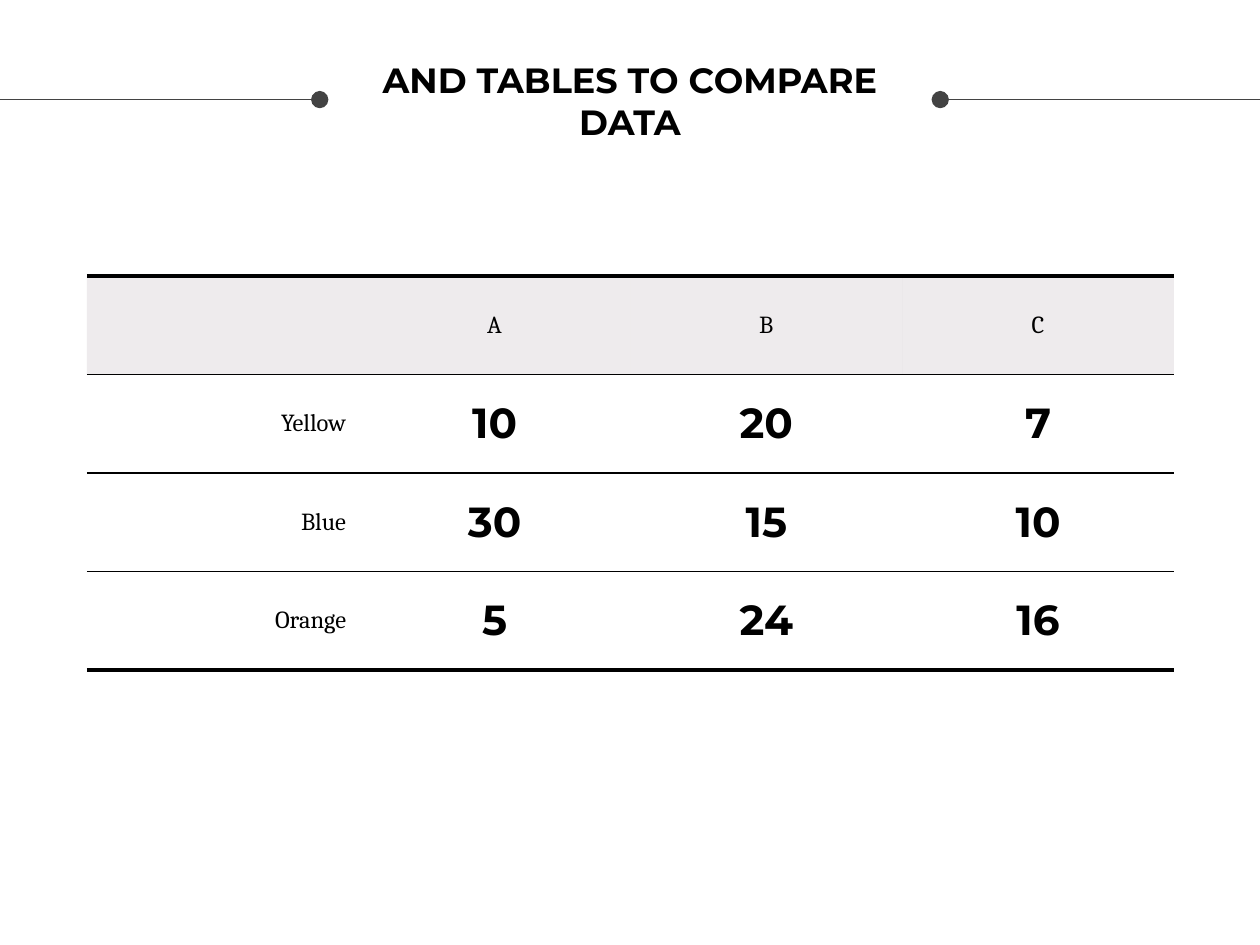
"""Build a slide that compares data in a ruled table."""
import dataclasses

import pptx
import pptx.dml.color
import pptx.enum.shapes
import pptx.enum.text
import pptx.oxml
import pptx.oxml.ns
import pptx.util

Pt = pptx.util.Pt
RGBColor = pptx.dml.color.RGBColor
Align = pptx.enum.text.PP_ALIGN
Anchor = pptx.enum.text.MSO_ANCHOR
qn = pptx.oxml.ns.qn


@dataclasses.dataclass(frozen=True)
class Theme:
    heading_font: str = "Montserrat"
    body_font: str = "Cambria"
    ink: str = "000000"
    rule: str = "434343"
    header_fill: str = "8F7B87"
    header_opacity: int = 15
    title_size: float = 20
    value_size: float = 24
    label_size: float = 14
    thin: float = 0.75
    thick: float = 2.25
    inset: float = 7.2


def apply_format(target, values):
    for name, value in values.items():
        setattr(target, name, value)


def add_xml(parent, tag, **attributes):
    element = pptx.oxml.parse_xml(f"<{tag} {pptx.oxml.ns.nsdecls('a')}/>")
    for name, value in attributes.items():
        element.set(name, str(value))
    parent.append(element)
    return element


class SlideBuilder:
    def __init__(self, presentation, theme):
        self.theme = theme
        self.slide = presentation.slides.add_slide(presentation.slide_layouts[5])
        self.margins = {f"margin_{side}": Pt(theme.inset)
                        for side in ("left", "right", "top", "bottom")}

    def add_text(self, text_frame, text, size, heading, alignment):
        paragraph = text_frame.paragraphs[0]
        paragraph.alignment = alignment
        run = paragraph.add_run()
        run.text = text
        font_name = self.theme.heading_font if heading else self.theme.body_font
        apply_format(run.font, {"name": font_name, "size": Pt(size), "bold": heading})
        run.font.color.rgb = RGBColor.from_string(self.theme.ink)

    def title(self, text, left, top, width, height):
        shape = self.slide.shapes.title
        apply_format(shape, {"left": Pt(left), "top": Pt(top),
                             "width": Pt(width), "height": Pt(height)})
        frame = shape.text_frame
        apply_format(frame, {"word_wrap": True, "vertical_anchor": Anchor.MIDDLE,
                             "auto_size": pptx.enum.text.MSO_AUTO_SIZE.NONE,
                             **self.margins})
        self.add_text(frame, text, self.theme.title_size, True, Align.CENTER)

    def dotted_line(self, start, end, y):
        connector = self.slide.shapes.add_connector(
            pptx.enum.shapes.MSO_CONNECTOR.STRAIGHT, Pt(start), Pt(y), Pt(end), Pt(y))
        connector.line.color.rgb = RGBColor.from_string(self.theme.rule)
        connector.line.width = Pt(self.theme.thin)
        properties = connector._element.spPr
        add_xml(properties.find(qn("a:ln")), "a:headEnd", type="oval", w="lg", len="lg")
        add_xml(properties, "a:effectLst")

    def borders(self, cell, top, bottom):
        properties = cell._tc.get_or_add_tcPr()
        for side in ("L", "R"):
            add_xml(add_xml(properties, f"a:ln{side}", w=0), "a:noFill")
        for side, width in (("T", top), ("B", bottom)):
            line = add_xml(properties, f"a:ln{side}", w=int(Pt(width)))
            add_xml(add_xml(line, "a:solidFill"), "a:srgbClr", val=self.theme.ink)

    def header_fill(self, cell):
        cell.fill.solid()
        cell.fill.fore_color.rgb = RGBColor.from_string(self.theme.header_fill)
        color = cell._tc.tcPr.find(qn("a:solidFill")).find(qn("a:srgbClr"))
        add_xml(color, "a:alpha", val=self.theme.header_opacity * 1000)

    def table(self, rows, left, top, column_width, row_height):
        theme = self.theme
        last = len(rows) - 1
        columns = len(rows[0])
        table = self.slide.shapes.add_table(
            len(rows), columns, Pt(left), Pt(top),
            Pt(column_width * columns), Pt(row_height * len(rows))).table
        apply_format(table, {"first_row": False, "horz_banding": False})
        for column in table.columns:
            column.width = Pt(column_width)
        for row_index, row in enumerate(rows):
            table.rows[row_index].height = Pt(row_height)
            for column_index, text in enumerate(row):
                cell = table.cell(row_index, column_index)
                apply_format(cell, {"vertical_anchor": Anchor.MIDDLE, **self.margins})
                self.borders(cell, theme.thin if row_index else theme.thick,
                             theme.thick if row_index == last else theme.thin)
                if row_index:
                    cell.fill.background()
                else:
                    self.header_fill(cell)
                is_value = row_index > 0 and column_index > 0
                is_row_label = row_index > 0 and column_index == 0
                if text:
                    self.add_text(cell.text_frame, text,
                                  theme.value_size if is_value else theme.label_size,
                                  is_value, Align.RIGHT if is_row_label else Align.CENTER)


def main():
    presentation = pptx.Presentation()
    apply_format(presentation, {"slide_width": Pt(720), "slide_height": Pt(540)})
    builder = SlideBuilder(presentation, Theme())
    builder.dotted_line(182.7, -2, 56.9)
    builder.dotted_line(537.3, 721, 56.9)
    builder.title("AND TABLES TO COMPARE DATA", 206.6, 12.2, 306.8, 90)
    rows = [
        ("", "A", "B", "C"),
        ("Yellow", "10", "20", "7"),
        ("Blue", "30", "15", "10"),
        ("Orange", "5", "24", "16"),
    ]
    builder.table(rows, 49.7, 157.8, 155.3, 56.25)
    presentation.save("out.pptx")


if __name__ == "__main__":
    main()
